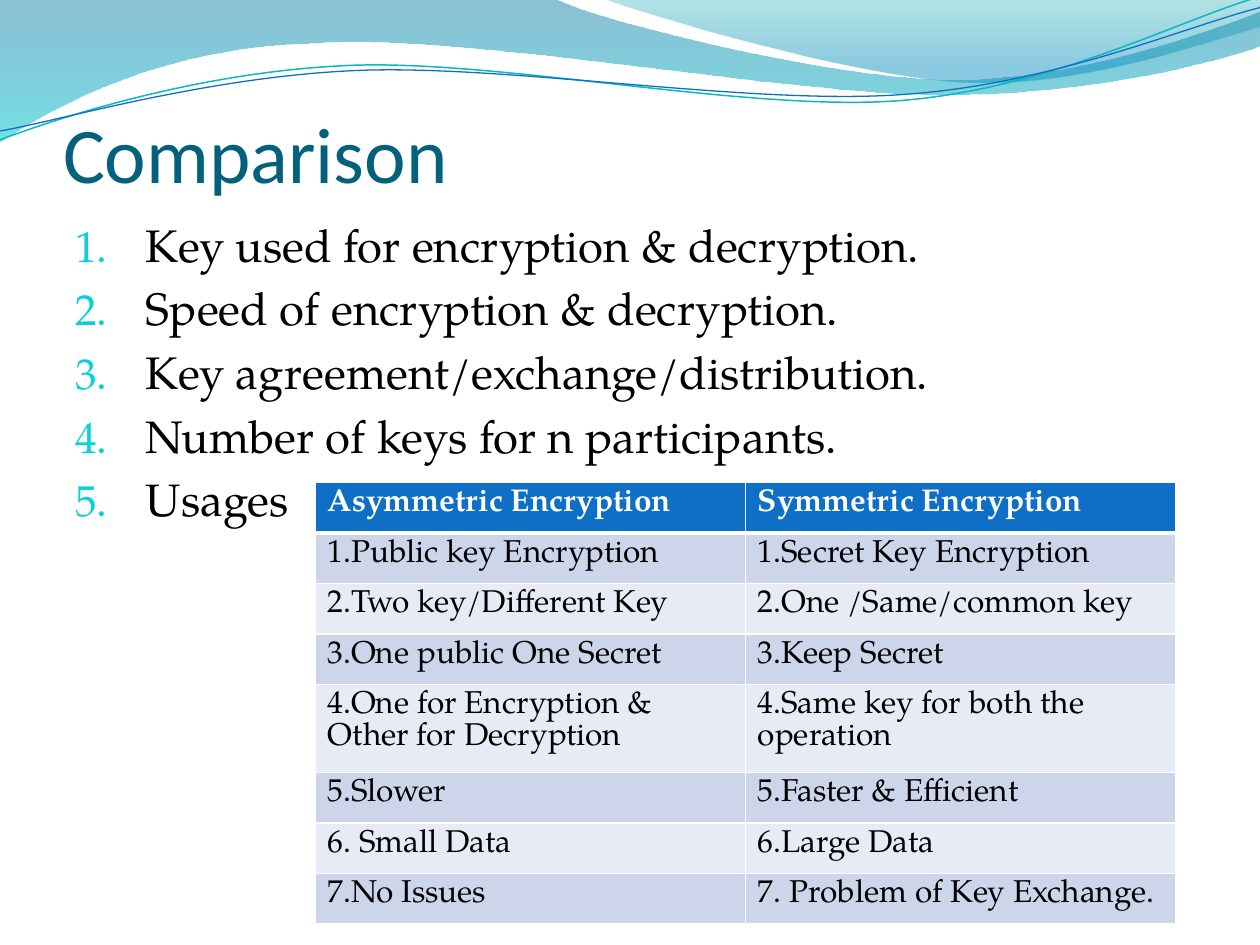
from dataclasses import dataclass

import pptx
import pptx.dml.color
import pptx.enum.text
import pptx.util
from lxml import etree
from pptx.oxml.ns import qn
from pptx.util import Inches, Pt


@dataclass(frozen=True)
class Theme:
    heading_font: str = "Calibri"
    body_font: str = "TeX Gyre Pagella"
    title_size: int = 45
    list_size: int = 26
    table_size: int = 18
    title: str = "04617B"
    text: str = "000000"
    number: str = "0BD0D9"
    header_text: str = "FFFFFF"
    header_fill: str = "0F6FC6"
    row_fills: tuple = ("CCD5EA", "E7EBF5")
    border: str = "FFFFFF"


THEME = Theme()

# Each outline is a start point followed by line ends (2 numbers)
# and cubic curves (6 numbers), in inches.
WIDE_WAVE = [
    (0, 0), (4.4, -0.01),
    (4.76, 0.17, 6.64, 0.63, 7.58, 0.63), (8.53, 0.63, 9.58, 0.26, 10, 0.09),
    (10.01, 0.36),
    (9.83, 0.44, 8.7, 0.76, 7.46, 0.75), (6.22, 0.75, 3.82, 0.28, 2.57, 0.34),
    (1.29, 0.36, 0.46, 0.83, -0.01, 1.13), (0, 0),
]
RIGHT_WAVE = [
    (4.79, -0.01),
    (5.09, 0.11, 6.82, 0.62, 7.69, 0.65), (8.56, 0.69, 9.61, 0.32, 10, 0.21),
    (10, 0), (4.79, -0.01),
]
TEAL_STRAND = [
    (0, 1.11),
    (0.48, 0.93, 1.58, 0.57, 2.77, 0.52), (3.95, 0.47, 5.93, 0.89, 7.13, 0.8),
    (8.33, 0.71, 9.38, 0.15, 9.98, -0.02),
]
BLUE_STRAND = [
    (0, 1.04),
    (0.47, 0.96, 1.64, 0.61, 2.83, 0.56), (4.03, 0.51, 5.97, 0.84, 7.17, 0.75),
    (8.36, 0.67, 9.41, 0.21, 10, 0.06),
]

CRITERIA = [
    "Key used for encryption & decryption.",
    "Speed of encryption & decryption.",
    "Key agreement/exchange/distribution.",
    "Number of keys for n participants.",
    "Usages",
]
COMPARISON = [
    ("Asymmetric Encryption", "Symmetric Encryption"),
    ("1.Public key Encryption", "1.Secret Key Encryption"),
    ("2.Two key/Different Key", "2.One /Same/common key"),
    ("3.One public One Secret", "3.Keep Secret"),
    ("4.One for Encryption & Other for Decryption",
     "4.Same key for both the operation"),
    ("5.Slower", "5.Faster & Efficient"),
    ("6. Small Data", "6.Large Data"),
    ("7.No Issues", "7. Problem of Key Exchange."),
]
TALL_ROW = 4


def rgb(value):
    return pptx.dml.color.RGBColor.from_string(value)


def set_font(paragraph, name, size, color, bold=False):
    font = paragraph.font
    font.name, font.size, font.bold = name, Pt(size), bold
    font.color.rgb = rgb(color)


def add_outline(slide, segments, close):
    """Build the outline from its end points, then bend the curved segments."""
    start, *ends = [tuple(map(Inches, segment[-2:])) for segment in segments]
    builder = slide.shapes.build_freeform(*start)
    builder.add_line_segments(ends, close=close)
    outline = builder.convert_to_shape()
    outline.shadow.inherit = False
    lines = list(outline.element.iter(qn("a:lnTo")))
    for line, segment in zip(lines, segments[1:]):
        if len(segment) == 2:
            continue
        curve = etree.Element(qn("a:cubicBezTo"))
        for x, y in zip(segment[::2], segment[1::2]):
            etree.SubElement(curve, qn("a:pt"),
                             x=str(Inches(x) - outline.left),
                             y=str(Inches(y) - outline.top))
        line.getparent().replace(line, curve)
    return outline


def add_wave(slide, segments, stops):
    """Add a top-to-bottom gradient; stops are (position, colour, opacity %)."""
    wave = add_outline(slide, segments, close=True)
    wave.line.fill.background()
    wave.fill.gradient()
    wave.fill.gradient_angle = 270
    for stop, (position, color, _) in zip(wave.fill.gradient_stops, stops):
        stop.position = position
        stop.color.rgb = rgb(color)
    for node, (_, _, opacity) in zip(wave.element.iter(qn("a:gs")), stops):
        etree.SubElement(node[0], qn("a:alpha"), val=str(opacity * 1000))


def add_strand(slide, segments, color, width):
    strand = add_outline(slide, segments, close=False)
    strand.fill.background()
    strand.line.color.rgb = rgb(color)
    strand.line.width = Pt(width)


def set_title(slide, text):
    title = slide.shapes.title
    title.left, title.top = Inches(0.5), Inches(0.77)
    title.width, title.height = Inches(9), Inches(0.81)
    frame = title.text_frame
    frame.text = text
    frame.margin_left = frame.margin_right = frame.margin_bottom = 0
    frame.vertical_anchor = pptx.enum.text.MSO_ANCHOR.BOTTOM
    frame.auto_size = pptx.enum.text.MSO_AUTO_SIZE.NONE
    paragraph = frame.paragraphs[0]
    paragraph.alignment = pptx.enum.text.PP_ALIGN.LEFT
    set_font(paragraph, THEME.heading_font, THEME.title_size, THEME.title)
    title.element.getparent().append(title.element)  # in front of the waves


def number_paragraph(paragraph):
    indent = Inches(0.56)
    properties = paragraph._p.get_or_add_pPr()
    properties.set("marL", str(indent))
    properties.set("indent", str(-indent))
    color = etree.SubElement(properties, qn("a:buClr"))
    etree.SubElement(color, qn("a:srgbClr"), val=THEME.number)
    etree.SubElement(properties, qn("a:buSzPct"), val="95000")
    etree.SubElement(properties, qn("a:buAutoNum"), type="arabicPeriod")


def add_numbered_list(slide, items):
    box = slide.shapes.add_textbox(
        Inches(0.5), Inches(1.67), Inches(9), Inches(5.83))
    frame = box.text_frame
    frame.word_wrap = True
    frame.text = "\n".join(items)
    for index, paragraph in enumerate(frame.paragraphs):
        number_paragraph(paragraph)
        paragraph.space_before = Pt(0.2 * THEME.list_size if index else 0)
        set_font(paragraph, THEME.body_font, THEME.list_size, THEME.text)


def underline_cell(cell, width):
    border = etree.Element(qn("a:lnB"), w=str(Pt(width)))
    fill = etree.SubElement(border, qn("a:solidFill"))
    etree.SubElement(fill, qn("a:srgbClr"), val=THEME.border)
    cell._tc.get_or_add_tcPr().insert(0, border)


def add_comparison_table(slide, rows):
    table = slide.shapes.add_table(
        len(rows), len(rows[0]),
        Inches(2.5), Inches(3.83), Inches(6.83), Inches(3.5)).table
    for index, texts in enumerate(rows):
        header = index == 0
        table.rows[index].height = Inches(0.7 if index == TALL_ROW else 0.4)
        fill = THEME.header_fill if header else THEME.row_fills[(index - 1) % 2]
        color = THEME.header_text if header else THEME.text
        for cell, text in zip(table.rows[index].cells, texts):
            cell.text = text
            cell.fill.solid()
            cell.fill.fore_color.rgb = rgb(fill)
            underline_cell(cell, 3 if header else 1)
            set_font(cell.text_frame.paragraphs[0], THEME.body_font,
                     THEME.table_size, color, header)


def main():
    deck = pptx.Presentation()
    deck.slide_width, deck.slide_height = Inches(10), Inches(7.5)
    slide = deck.slides.add_slide(deck.slide_layouts.get_by_name("Title Only"))
    add_wave(slide, WIDE_WAVE, [(0, "0074A1", 45), (1, "00C6CF", 55)])
    add_wave(slide, RIGHT_WAVE, [(0, "00A1A9", 30), (0.8, "008BBF", 45)])
    add_strand(slide, TEAL_STRAND, "0AB8BF", 0.85)
    add_strand(slide, BLUE_STRAND, "0F6FC6", 0.75)
    set_title(slide, "Comparison")
    add_numbered_list(slide, CRITERIA)
    add_comparison_table(slide, COMPARISON)
    deck.save("out.pptx")


if __name__ == "__main__":
    main()
